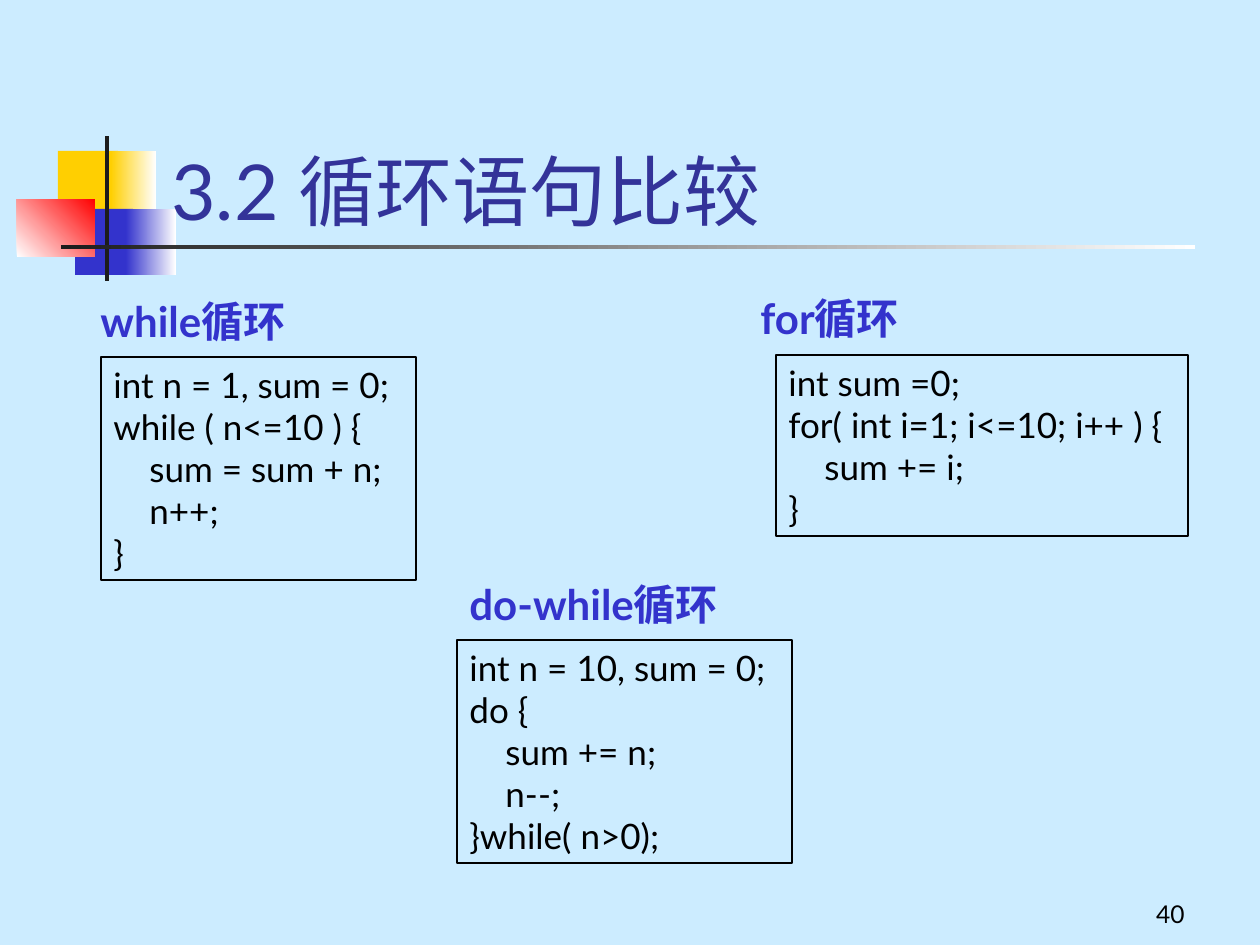
import dataclasses

import pptx
import pptx.dml.color
import pptx.enum.shapes
import pptx.enum.text
import pptx.util

PX = pptx.util.Inches(10) / 1260
ANCHOR = pptx.enum.text.MSO_ANCHOR
ALIGN = pptx.enum.text.PP_ALIGN


@dataclasses.dataclass(frozen=True)
class Theme:
    font: str = "Lato"
    background: str = "CCECFF"
    title: str = "333399"
    blue: str = "3333CC"
    yellow: str = "FFCF01"
    red: str = "FF0000"
    white: str = "FFFFFF"
    dark: str = "1C1C1C"
    ink: str = "000000"
    title_size: int = 44
    label_size: int = 24
    code_size: int = 20
    number_size: int = 14
    border: float = 0.75
    indent: int = 36


THEME = Theme()


def px(length):
    return pptx.util.Emu(round(length * PX))


def rgb(color):
    return pptx.dml.color.RGBColor.from_string(color)


def add_rectangle(page, box):
    shape = page.shapes.add_shape(
        pptx.enum.shapes.MSO_SHAPE.RECTANGLE, *map(px, box)
    )
    shape.shadow.inherit = False
    return shape


def add_block(page, box, color, end=None, angle=0):
    shape = add_rectangle(page, box)
    shape.line.fill.background()
    if end is None:
        shape.fill.solid()
        shape.fill.fore_color.rgb = rgb(color)
        return
    shape.fill.gradient()
    shape.fill.gradient_angle = angle
    for stop, stop_color, position in zip(shape.fill.gradient_stops, (color, end), (0, 1)):
        stop.color.rgb = rgb(stop_color)
        stop.position = position


def write(shape, text, size, color, bold=False, align=ALIGN.LEFT, anchor=ANCHOR.TOP):
    frame = shape.text_frame
    frame.text = text
    frame.word_wrap = True
    frame.vertical_anchor = anchor
    for para in frame.paragraphs:
        para.alignment = align
        for span in para.runs:
            span.font.name = THEME.font
            span.font.size = pptx.util.Pt(size)
            span.font.bold = bold
            span.font.color.rgb = rgb(color)


def add_text(page, box, text, size, color, **style):
    write(page.shapes.add_textbox(*map(px, box)), text, size, color, **style)


def add_code(page, box, lines):
    shape = add_rectangle(page, box)
    shape.fill.background()
    shape.line.color.rgb = rgb(THEME.ink)
    shape.line.width = pptx.util.Pt(THEME.border)
    text = "\n".join(line.strip() for line in lines)
    write(shape, text, THEME.code_size, THEME.ink)
    for para, line in zip(shape.text_frame.paragraphs, lines):
        if line.startswith("\t"):
            properties = para._p.get_or_add_pPr()
            properties.set("marL", str(px(THEME.indent)))
            properties.set("indent", "0")


def add_ornament(page):
    add_block(page, (58, 151, 60, 66), THEME.yellow)
    add_block(page, (111, 151, 45, 66), THEME.yellow, THEME.white)
    add_block(page, (75, 209, 58, 66), THEME.blue)
    add_block(page, (126, 209, 50, 66), THEME.blue, THEME.white)
    add_block(page, (17, 199, 78, 58), THEME.white, THEME.red, 45)
    add_block(page, (105, 136, 4, 145), THEME.dark)
    add_block(page, (61, 245, 1134, 4), THEME.dark, THEME.white)


def add_loop(page, label, label_box, code_box, lines):
    add_code(page, code_box, lines)
    add_text(page, label_box, label, THEME.label_size, THEME.blue, bold=True)


def main():
    deck = pptx.Presentation()
    deck.slide_width, deck.slide_height = px(1260), px(945)
    page = deck.slides.add_slide(deck.slide_layouts[6])
    page.background.fill.solid()
    page.background.fill.fore_color.rgb = rgb(THEME.background)

    add_ornament(page)
    add_text(page, (935, 872, 262, 63), "40", THEME.number_size, THEME.ink,
             align=ALIGN.RIGHT, anchor=ANCHOR.BOTTOM)
    add_text(page, (159, 84, 1074, 158), "3.2 循环语句比较", THEME.title_size,
             THEME.title, anchor=ANCHOR.BOTTOM)

    add_loop(page, "while循环", (88, 289, 233, 63), (101, 357, 315, 223),
             ["int n = 1, sum = 0;", "while ( n<=10 ) {",
              "\tsum = sum + n;", "\tn++;", "}"])
    add_loop(page, "do-while循环", (457, 572, 299, 63), (457, 640, 335, 223),
             ["int n = 10, sum = 0;", "do {",
              "\tsum += n;", "\tn--;", "}while( n>0);"])
    add_loop(page, "for循环", (748, 286, 180, 63), (776, 355, 412, 181),
             ["int sum =0;", "for( int i=1; i<=10; i++ ) {",
              "\tsum += i;", "}"])
    deck.save("out.pptx")


if __name__ == "__main__":
    main()
